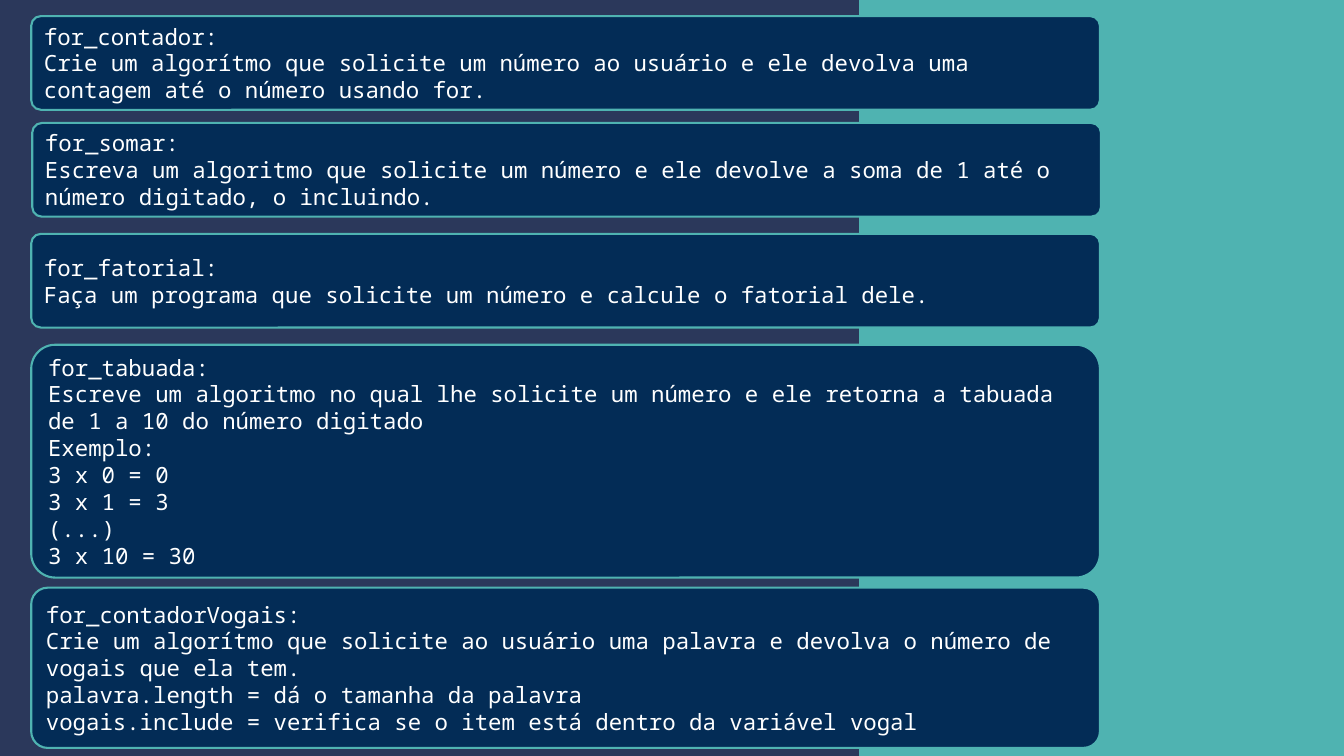
from copy import deepcopy
from dataclasses import dataclass

from pptx import Presentation
from pptx.dml.color import RGBColor
from pptx.enum.shapes import MSO_SHAPE
from pptx.enum.text import MSO_ANCHOR, PP_ALIGN
from pptx.oxml.ns import qn
from pptx.util import Inches, Pt


@dataclass(frozen=True)
class Theme:
    background: RGBColor = RGBColor.from_string("2B385B")
    teal: RGBColor = RGBColor.from_string("4FB3B1")
    navy: RGBColor = RGBColor.from_string("032C56")
    white: RGBColor = RGBColor.from_string("FFFFFF")
    font: str = "Noto Sans Mono"
    body: int = 16
    border: float = 1.5
    corner: float = 0.103


THEME = Theme()
CARD_LEFT, CARD_WIDTH = 0.31, 10.6

# Left, top, height and text; \v breaks a line inside a paragraph.
EXERCISES = [
    (CARD_LEFT, 0.16, 0.93,
     "for_contador:\vCrie um algorítmo que solicite um número ao usuário "
     "e ele devolva uma contagem até o número usando for."),
    (CARD_LEFT + 0.01, 1.22, 0.93,
     "for_somar:\vEscreva um algoritmo que solicite um número e ele devolve "
     "a soma de 1 até o número digitado, o incluindo."),
    (CARD_LEFT, 2.32, 0.93,
     "for_fatorial:\vFaça um programa que solicite um número e calcule "
     "o fatorial dele."),
    (CARD_LEFT, 3.42, 2.31,
     "for_tabuada:\vEscreve um algoritmo no qual lhe solicite um número e ele "
     "retorna a tabuada de 1 a 10 do número digitado\n"
     "Exemplo:\n3 x 0 = 0\n3 x 1 = 3\n(...)\n3 x 10 = 30"),
    (CARD_LEFT, 5.83, 1.59,
     "for_contadorVogais:\vCrie um algorítmo que solicite ao usuário uma "
     "palavra e devolva o número de vogais que ela tem.\v"
     "palavra.length = dá o tamanha da palavra\n"
     "vogais.include = verifica se o item está dentro da variável vogal"),
]


def add_text(tf, text, size=THEME.body, color=THEME.white, font=THEME.font,
             align=PP_ALIGN.LEFT, anchor=MSO_ANCHOR.MIDDLE):
    tf.word_wrap = True
    tf.vertical_anchor = anchor
    tf.text = text
    for p in tf.paragraphs:
        p.alignment = align
        for r in p.runs:
            r.font.size = Pt(size)
            r.font.name = font
            r.font.color.rgb = color
        # Line breaks take the run format so that line heights match.
        for br in p._p.findall(qn("a:br")):
            br.append(deepcopy(p.runs[0].font._element))


def add_panel(s, kind, left, top, width, height, fill):
    sp = s.shapes.add_shape(kind, Inches(left), Inches(top),
                            Inches(width), Inches(height))
    sp.shadow.inherit = False
    sp.fill.solid()
    sp.fill.fore_color.rgb = fill
    sp.line.fill.background()
    return sp


def add_exercise(s, left, top, width, height, text):
    sp = add_panel(s, MSO_SHAPE.ROUNDED_RECTANGLE, left, top, width, height,
                   THEME.navy)
    sp.adjustments[0] = THEME.corner
    sp.line.color.rgb = THEME.teal
    sp.line.width = Pt(THEME.border)
    add_text(sp.text_frame, text)


def add_exercise_slide(prs):
    s = prs.slides.add_slide(prs.slide_layouts[6])
    s.background.fill.solid()
    s.background.fill.fore_color.rgb = THEME.background
    add_panel(s, MSO_SHAPE.RECTANGLE, 8.52, 0, 4.81, 7.5, THEME.teal)
    for left, top, height, text in EXERCISES:
        add_exercise(s, left, top, CARD_WIDTH, height, text)


def main():
    prs = Presentation()
    prs.slide_width, prs.slide_height = Inches(13.33), Inches(7.5)
    add_exercise_slide(prs)
    prs.save("out.pptx")


if __name__ == "__main__":
    main()
